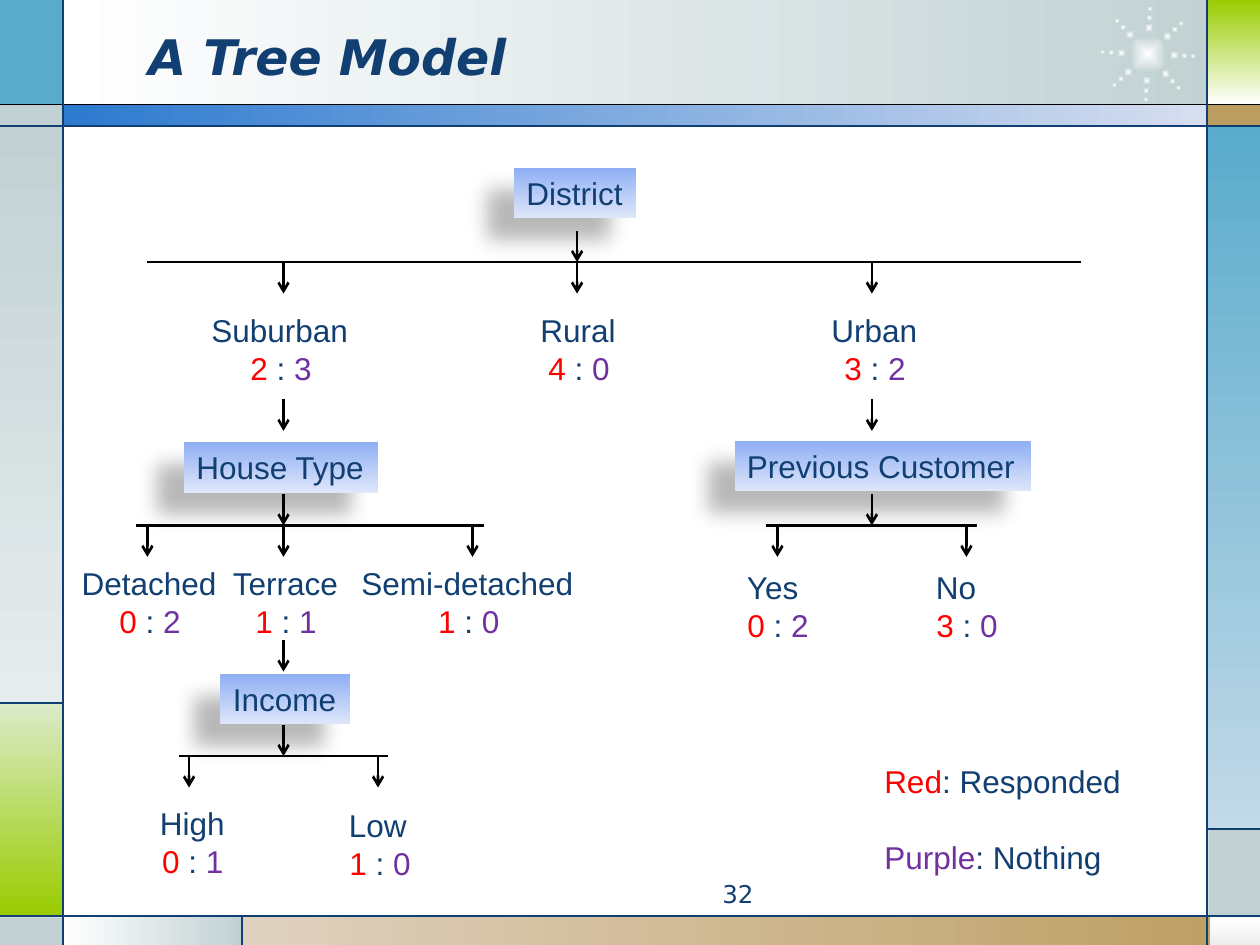
"""Build the tree model slide: a response tree split by district, house type, income and custom."""
from math import cos, radians, sin

from lxml.etree import SubElement
from pptx import Presentation
from pptx.dml.color import RGBColor
from pptx.enum.shapes import MSO_CONNECTOR, MSO_SHAPE
from pptx.enum.text import MSO_ANCHOR, MSO_AUTO_SIZE, PP_ALIGN
from pptx.oxml.ns import qn
from pptx.util import Inches, Pt

NAVY, RED, PURPLE, BLACK = "113F71", "FF0000", "7030A0", "000000"
WHITE, MIST, SKY, LIME, SAND = "FFFFFF", "C1D1D3", "5AABCC", "99CC00", "BD9E61"


def paint(fill, start, end=None, angle=0):
    if end is None:
        fill.solid()
        fill.fore_color.rgb = RGBColor.from_string(start)
        return
    fill.gradient()
    fill.gradient_angle = angle
    for stop, color in zip(fill.gradient_stops, (start, end)):
        stop.color.rgb = RGBColor.from_string(color)


def write_text(shape, lines, size=18, font="Arial", bold=False, italic=False,
               alignments=(PP_ALIGN.LEFT, PP_ALIGN.CENTER), wrap=False,
               anchor=MSO_ANCHOR.TOP, gap=0):
    frame = shape.text_frame
    frame.word_wrap = wrap
    frame.auto_size = MSO_AUTO_SIZE.NONE
    frame.vertical_anchor = anchor
    for index, runs in enumerate(lines):
        paragraph = frame.add_paragraph() if index else frame.paragraphs[0]
        paragraph.alignment = alignments[index]
        if index and gap:
            paragraph.space_before = Pt(gap)
        for text, color in runs:
            run = paragraph.add_run()
            run.text = text
            run.font.size = Pt(size)
            run.font.name = font
            run.font.bold = bold
            run.font.italic = italic
            paint(run.font.fill, color)


presentation = Presentation()
presentation.slide_width = Inches(10)
presentation.slide_height = Inches(7.5)
slide = presentation.slides.add_slide(presentation.slide_layouts[6])
shapes = slide.shapes

# left, top, width, height, colours and gradient angle
panels = [
    (0.5, 0, 9.27, 0.84, WHITE, MIST, 0),
    (0, 0, 0.5, 0.84, SKY, None, 0),
    (0, 0.83, 0.5, 0.17, MIST, None, 0),
    (0, 1, 0.5, 4.58, MIST, "E7EDEE", 270),
    (0, 5.58, 0.5, 1.69, "DBEBC9", LIME, 270),
    (0, 7.28, 0.5, 0.22, MIST, None, 0),
    (0.5, 7.27, 1.43, 0.23, WHITE, MIST, 0),
    (1.92, 7.27, 8.08, 0.23, "DED1BF", SAND, 0),
    (9.6, 7.28, 0.4, 0.22, WHITE, "EDEDED", 270),
    (9.59, 6.58, 0.41, 0.7, MIST, None, 0),
    (9.58, 1, 0.42, 5.58, SKY, "C2D9E7", 270),
    (9.58, 0.83, 0.42, 0.17, SAND, None, 0),
    (9.59, 0, 0.41, 0.83, LIME, WHITE, 270),
    (0.5, 0.83, 9.09, 0.17, "2D7ACF", "D7DEF0", 0),
]
for left, top, width, height, start, end, angle in panels:
    panel = shapes.add_shape(MSO_SHAPE.RECTANGLE, Inches(left), Inches(top),
                             Inches(width), Inches(height))
    panel.shadow.inherit = False
    panel.line.fill.background()
    paint(panel.fill, start, end, angle)

dots = [(9.11, 0.43, 0.3)]
for ray in range(8):
    direction = radians(45 * ray + 2.5)
    for radius, diameter in ((0.21, 0.07), (0.29, 0.05), (0.36, 0.04)):
        dots.append((9.11 + radius * cos(direction), 0.43 + radius * sin(direction), diameter))
for x, y, diameter in dots:
    dot = shapes.add_shape(MSO_SHAPE.OVAL, Inches(x - diameter / 2), Inches(y - diameter / 2),
                           Inches(diameter), Inches(diameter))
    dot.shadow.inherit = False
    dot.line.fill.background()
    paint(dot.fill, WHITE, MIST)
    gradient = dot.element.spPr.find(qn("a:gradFill"))
    gradient.remove(gradient.find(qn("a:lin")))
    focus = SubElement(gradient, qn("a:path"), {"path": "shape"})
    SubElement(focus, qn("a:fillToRect"), dict.fromkeys("ltrb", "50000"))

title = shapes.add_textbox(Inches(1.08), Inches(0.13), Inches(7.33), Inches(0.62))
write_text(title, [[("A Tree Model", NAVY)]], size=28, font="DejaVu Sans", bold=True,
           italic=True, wrap=True, anchor=MSO_ANCHOR.MIDDLE)
page_number = shapes.add_textbox(Inches(3.75), Inches(6.93), Inches(2.33), Inches(0.27))
write_text(page_number, [[("32", NAVY)]], size=14, font="DejaVu Sans", wrap=True,
           alignments=[PP_ALIGN.RIGHT])

questions = [
    ("District", 4.08, 1.33, 0.97),
    ("House Type", 1.46, 3.51, 1.54),
    ("Income", 1.75, 5.35, 1.03),
    ("Previous Customer", 5.83, 3.5, 2.35),
]
for name, left, top, width in questions:
    question = shapes.add_shape(MSO_SHAPE.RECTANGLE, Inches(left), Inches(top),
                                Inches(width), Inches(0.4))
    question.line.fill.background()
    paint(question.fill, "8FAFF4", "DEE6FA", 270)
    question.shadow.inherit = False
    shadow = SubElement(question.element.spPr.find(qn("a:effectLst")), qn("a:outerShdw"),
                        {"blurRad": str(Pt(11.8)), "dist": str(Pt(19.7)),
                         "dir": str(141 * 60000), "rotWithShape": "0"})
    shade = SubElement(shadow, qn("a:srgbClr"), {"val": BLACK})
    SubElement(shade, qn("a:alpha"), {"val": "28000"})
    write_text(question, [[(name, NAVY)]])

answers = [
    ("Suburban", 2, 3, 1.58, 2.42, 1.3),
    ("Rural", 4, 0, 4.19, 2.42, 0.81),
    ("Urban", 3, 2, 6.5, 2.42, 0.89),
    ("Detached", 0, 2, 0.55, 4.43, 1.28),
    ("Terrace", 1, 1, 1.75, 4.43, 1.04),
    ("Semi-detached", 1, 0, 2.77, 4.43, 1.9),
    ("Yes", 0, 2, 5.83, 4.46, 0.69),
    ("No", 3, 0, 7.33, 4.46, 0.69),
    ("High", 0, 1, 1.17, 6.33, 0.72),
    ("Low", 1, 0, 2.67, 6.35, 0.69),
]
for name, responded, nothing, left, top, width in answers:
    answer = shapes.add_textbox(Inches(left), Inches(top), Inches(width), Inches(0.71))
    ratio = [(str(responded), RED), (" : ", NAVY), (str(nothing), PURPLE)]
    write_text(answer, [[(name, NAVY)], ratio])

legend = shapes.add_textbox(Inches(6.92), Inches(6), Inches(2.24), Inches(1.01))
write_text(legend, [[("Red", RED), (": Responded", NAVY)], [("Purple", PURPLE), (": Nothing", NAVY)]],
           wrap=True, alignments=[PP_ALIGN.LEFT] * 2, gap=21.6)

# x1, y1, x2, y2, colour, width and arrowhead
lines = [
    (0, 0.83, 10, 0.83, BLACK, 0.75, False),
    *[(*ends, NAVY, 0.75, False) for ends in (
        (0, 1, 10, 1), (0, 7.27, 10, 7.27), (0.5, 0, 0.5, 7.5), (9.58, 0, 9.58, 7.5),
        (0.5, 5.58, 0, 5.58), (1.92, 7.27, 1.92, 7.5), (9.58, 6.58, 10, 6.58))],
]
# branch bar: y, left end, right end, stem x, branch xs
branches = [
    (2.08, 1.17, 8.58, 4.58, (2.25, 4.58, 6.92)),
    (4.17, 1.08, 3.84, 2.25, (1.17, 2.25, 3.75)),
    (4.17, 6.08, 7.75, 6.92, (6.17, 7.67)),
    (6, 1.42, 3.08, 2.25, (1.5, 3)),
]
arrows = [(2.25, 3.17), (6.92, 3.17), (2.25, 5.08)]
for y, left, right, stem, drops in branches:
    lines.append((left, y, right, y, BLACK, 1.5, False))
    arrows += [(stem, y - 0.25), *[(x, y) for x in drops]]
lines += [(x, y, x, y + 0.25, BLACK, 1.5, True) for x, y in arrows]

for x1, y1, x2, y2, color, width, arrow in lines:
    connector = shapes.add_connector(MSO_CONNECTOR.STRAIGHT, Inches(x1), Inches(y1),
                                     Inches(x2), Inches(y2))
    connector.line.width = Pt(width)
    paint(connector.line.fill, color)
    if arrow:
        SubElement(connector.line._get_or_add_ln(), qn("a:tailEnd"), {"type": "arrow"})
    SubElement(connector.element.spPr, qn("a:effectLst"))

presentation.save("out.pptx")
